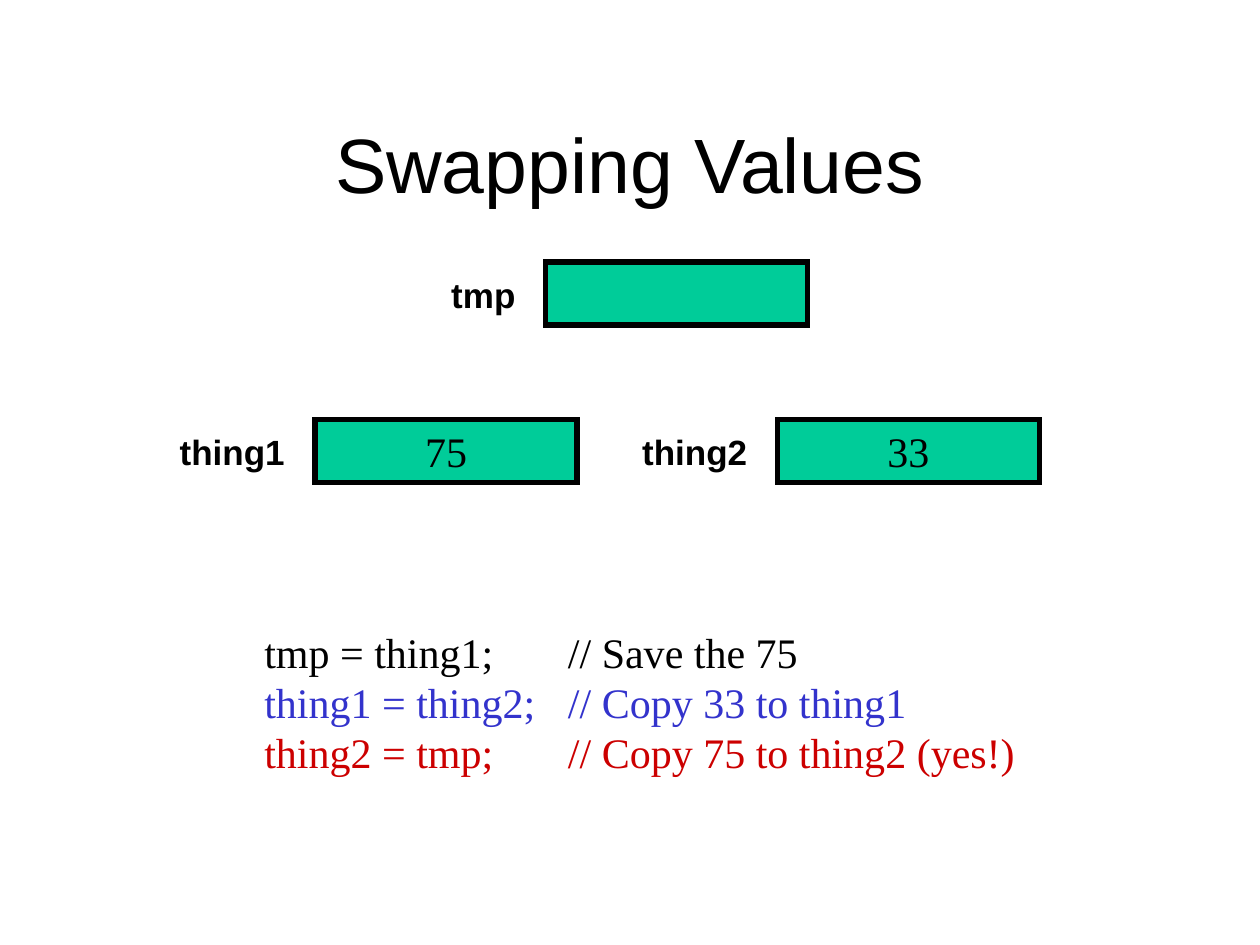
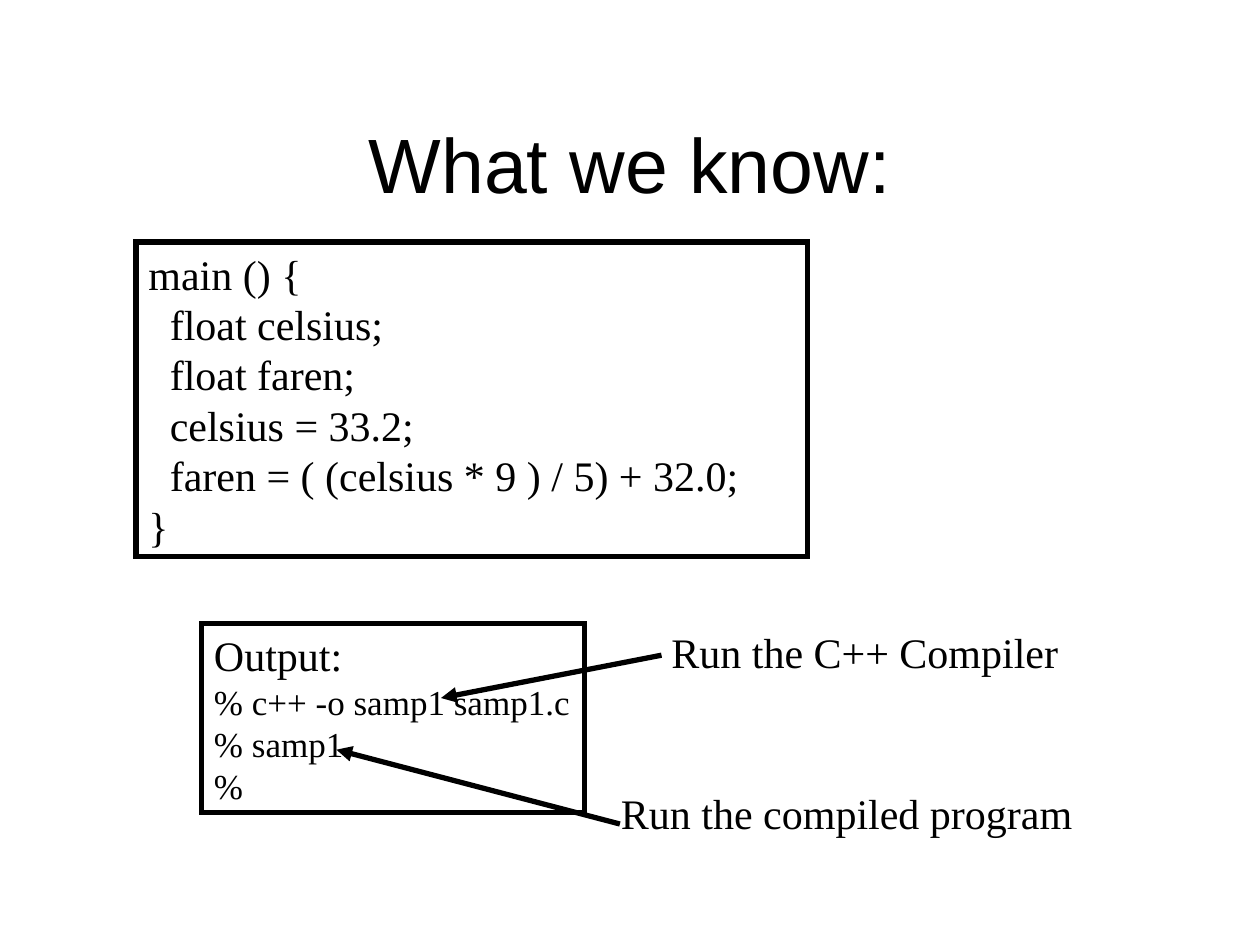
"""Two slides on swapping variables and running a compiled program."""
from dataclasses import dataclass
from typing import Optional

from pptx import Presentation
from pptx import util as u
from pptx.dml.color import RGBColor
from pptx.enum import shapes, text
from pptx.oxml.ns import qn
from lxml import etree

COLORS = {"ink": "000000", "cell": "00CC99", "blue": "3333CC", "red": "CC0000"}
SANS, SERIF = "Arial", "Times New Roman"
ALIGN, ANCHOR, FIT = text.PP_ALIGN, text.MSO_ANCHOR, text.MSO_AUTO_SIZE
LINE_WIDTH = u.Pt(3)
CODE_INDENT = 0.17
COMMENT_TAB = 2.41

TITLE_FONT = {"name": SANS, "size": u.Pt(44), "bold": False}
LABEL_FONT = {"name": SANS, "size": u.Pt(20), "bold": True}
BODY_FONT = {"name": SERIF, "size": u.Pt(24)}
SHELL_FONT = {"name": SERIF, "size": u.Pt(20)}


@dataclass
class Line:
    """One line of text with its own colour, size and indent."""
    words: str
    color: str = "ink"
    indent: float = 0
    font: Optional[dict] = None


@dataclass
class Variable:
    """A named memory cell, placed by the corner of its box."""
    name: str
    value: str
    x: float
    y: float
    label_width: float


@dataclass
class Callout:
    """A remark with an arrow to the line it explains."""
    words: str
    x: float
    y: float
    width: float
    start: tuple[float, float]
    end: tuple[float, float]


VARIABLES = [
    Variable("thing1", "75", 2.5, 3.33, 1.06),
    Variable("thing2", "33", 6.17, 3.33, 1.06),
    Variable("tmp", "", 4.33, 2.08, 0.74),
]
SWAP = [
    Line("tmp = thing1;\t// Save the 75"),
    Line("thing1 = thing2;\t// Copy 33 to thing1", "blue"),
    Line("thing2 = tmp;\t// Copy 75 to thing2 (yes!)", "red"),
]
PROGRAM = [
    Line("main () {"),
    Line("float celsius;", indent=CODE_INDENT),
    Line("float faren;", indent=CODE_INDENT),
    Line("celsius = 33.2;", indent=CODE_INDENT),
    Line("faren = ( (celsius * 9 ) / 5) + 32.0;", indent=CODE_INDENT),
    Line("}"),
]
OUTPUT = [
    Line("Output:"),
    Line("% c++ -o samp1 samp1.c", font=SHELL_FONT),
    Line("% samp1", font=SHELL_FONT),
    Line("%", font=SHELL_FONT),
]
CALLOUTS = [
    Callout("Run the compiled program", 4.83, 6.2, 3.78, (4.92, 6.54), (2.67, 5.95)),
    Callout("Run the C++ Compiler", 5.23, 4.92, 3.29, (5.25, 5.2), (3.5, 5.54)),
]


def rgb(name: str) -> RGBColor:
    """Look up a colour by name."""
    return RGBColor.from_string(COLORS[name])


def write(sp, lines: list[Line], font: dict, align=ALIGN.LEFT, **frame) -> None:
    """Fill a shape with lines; frame holds text frame settings."""
    tf = sp.text_frame
    for key, value in frame.items():
        setattr(tf, key, value)
    for i, line in enumerate(lines):
        p = tf.paragraphs[0] if i == 0 else tf.add_paragraph()
        p.alignment = align
        pPr = p._p.get_or_add_pPr()
        if line.indent:
            pPr.set("marL", str(u.Inches(line.indent)))
        if "\t" in line.words:
            tabs = etree.SubElement(pPr, qn("a:tabLst"))
            etree.SubElement(tabs, qn("a:tab"), pos=str(u.Inches(COMMENT_TAB)), algn="l")
        r = p.add_run()
        r.text = line.words
        for key, value in (line.font or font).items():
            setattr(r.font, key, value)
        r.font.color.rgb = rgb(line.color)


def add_slide(prs, title: str):
    """Add a slide with the shared title style."""
    s = prs.slides.add_slide(prs.slide_layouts[5])
    sp = s.shapes.title
    place = {"left": 0.75, "top": 0.67, "width": 8.5, "height": 1.25}
    for key, value in place.items():
        setattr(sp, key, u.Inches(value))
    write(sp, [Line(title)], TITLE_FONT, ALIGN.CENTER, vertical_anchor=ANCHOR.MIDDLE)
    return s


def ink_line(sp):
    """Give a shape or connector the thick black line; return its XML."""
    sp.line.color.rgb = rgb("ink")
    sp.line.width = LINE_WIDTH
    ln = sp.line._get_or_add_ln()
    etree.SubElement(ln, qn("a:miter"), lim="800000")
    return ln


def add_box(s, x: float, y: float, w: float, h: float, fill: Optional[str] = None):
    """Draw a black-edged rectangle, filled or open."""
    sp = s.shapes.add_shape(shapes.MSO_SHAPE.RECTANGLE, *map(u.Inches, (x, y, w, h)))
    sp.shadow.inherit = False
    ink_line(sp)
    if fill:
        sp.fill.solid()
        sp.fill.fore_color.rgb = rgb(fill)
    else:
        sp.fill.background()
    return sp


def add_text(s, x: float, y: float, w: float, h: float, lines: list[Line],
             font: dict, align=ALIGN.LEFT, wrap: bool = False) -> None:
    """Add a text box that grows with its text."""
    sp = s.shapes.add_textbox(*map(u.Inches, (x, y, w, h)))
    write(sp, lines, font, align, word_wrap=wrap, auto_size=FIT.SHAPE_TO_FIT_TEXT)


def add_variable(s, var: Variable) -> None:
    """Draw a memory cell with its name on the left."""
    sp = add_box(s, var.x, var.y, 2.08, 0.5, "cell")
    if var.value:
        write(sp, [Line(var.value)], BODY_FONT, ALIGN.CENTER,
              word_wrap=False, vertical_anchor=ANCHOR.MIDDLE)
    add_text(s, var.x - 0.14 - var.label_width, var.y + 0.04, var.label_width, 0.44,
             [Line(var.name)], LABEL_FONT, ALIGN.RIGHT)


def add_listing(s, x: float, y: float, w: float, h: float, lines: list[Line],
                wrap: bool) -> None:
    """Draw an open box of left-aligned lines."""
    write(add_box(s, x, y, w, h), lines, BODY_FONT, word_wrap=wrap,
          vertical_anchor=ANCHOR.TOP, auto_size=FIT.SHAPE_TO_FIT_TEXT)


def add_arrow(s, start: tuple[float, float], end: tuple[float, float]) -> None:
    """Draw a straight arrow with its head at the end."""
    cx = s.shapes.add_connector(shapes.MSO_CONNECTOR.STRAIGHT,
                                *map(u.Inches, (*start, *end)))
    etree.SubElement(ink_line(cx), qn("a:tailEnd"), type="triangle")
    etree.SubElement(cx._element.spPr, qn("a:effectLst"))


def swapping_slide(prs) -> None:
    """Show three variables and the code that swaps two of them."""
    s = add_slide(prs, "Swapping Values")
    for var in VARIABLES:
        add_variable(s, var)
    add_text(s, 2, 4.92, 6.2, 1.3, SWAP, BODY_FONT, wrap=True)


def program_slide(prs) -> None:
    """Show a program, its output and what each command does."""
    s = add_slide(prs, "What we know:")
    add_listing(s, 1.08, 1.92, 5.33, 2.5, PROGRAM, wrap=True)
    add_listing(s, 1.6, 4.95, 3.04, 1.5, OUTPUT, wrap=False)
    for note in CALLOUTS:
        add_text(s, note.x, note.y, note.width, 0.5, [Line(note.words)], BODY_FONT)
        add_arrow(s, note.start, note.end)


def main() -> None:
    """Build and save the slides."""
    prs = Presentation()
    prs.slide_width, prs.slide_height = u.Inches(10), u.Inches(7.5)
    swapping_slide(prs)
    program_slide(prs)
    prs.save("out.pptx")


main()
